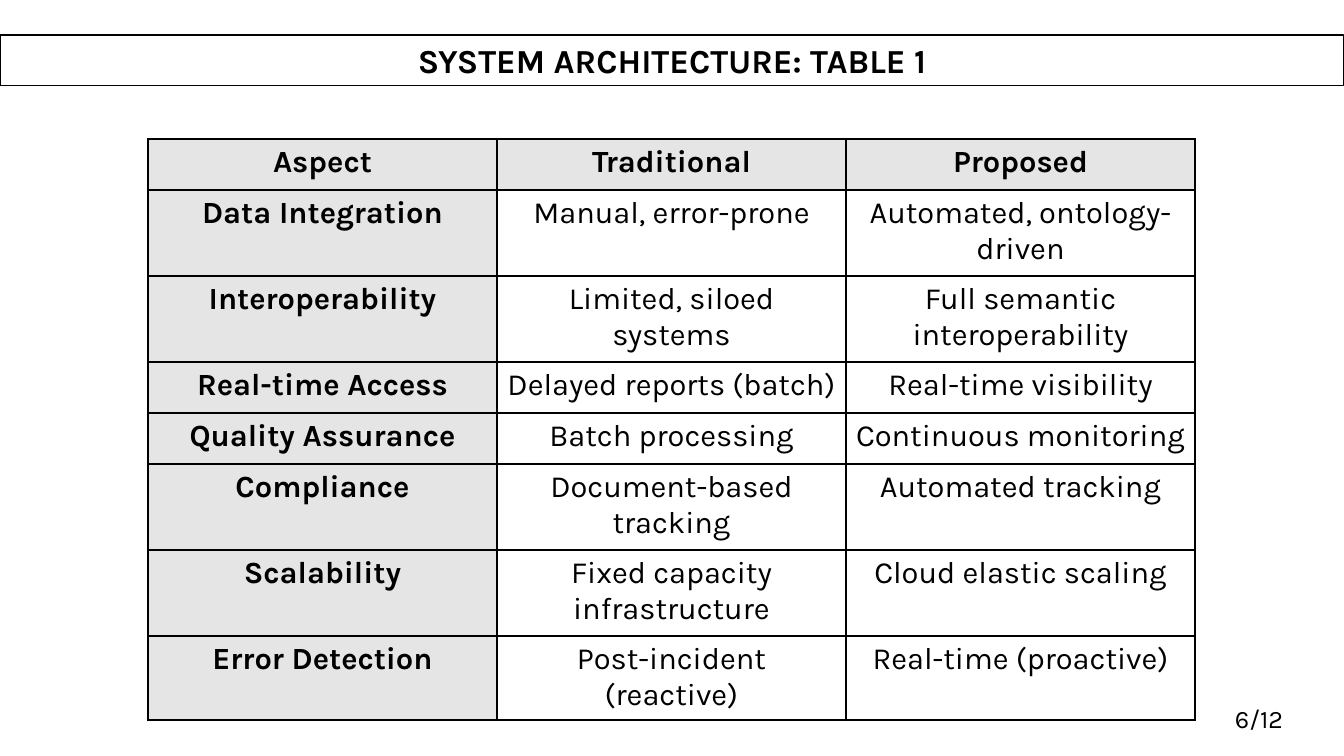
from dataclasses import dataclass

from pptx import Presentation
from pptx.dml.color import RGBColor
from pptx.enum.shapes import MSO_SHAPE
from pptx.enum.text import MSO_ANCHOR, PP_ALIGN
from pptx.oxml import parse_xml
from pptx.oxml.ns import nsdecls
from pptx.util import Emu, Pt

SLIDE_SIZE = (1344, 756)
EMU_PER_PX = 12192000 / SLIDE_SIZE[0]

COMPARISON = [
    ("Aspect", "Traditional", "Proposed"),
    ("Data Integration", "Manual, error-prone", "Automated, ontology-driven"),
    ("Interoperability", "Limited, siloed systems", "Full semantic interoperability"),
    ("Real-time Access", "Delayed reports (batch)", "Real-time visibility"),
    ("Quality Assurance", "Batch processing", "Continuous monitoring"),
    ("Compliance", "Document-based tracking", "Automated tracking"),
    ("Scalability", "Fixed capacity infrastructure", "Cloud elastic scaling"),
    ("Error Detection", "Post-incident (reactive)", "Real-time (proactive)"),
]
ONE_LINE, TWO_LINES = 51, 86
ROW_HEIGHTS = [ONE_LINE, TWO_LINES, TWO_LINES, ONE_LINE,
               ONE_LINE, TWO_LINES, TWO_LINES, ONE_LINE]


@dataclass(frozen=True)
class Theme:
    font: str = "Karla"
    ink: str = "000000"
    header_opacity: int = 10
    title_size: int = 24
    table_size: int = 22
    page_size: int = 18
    border_width: int = 1


def px(length):
    return Emu(round(length * EMU_PER_PX))


def set_attributes(target, values):
    for name, value in values.items():
        setattr(target, name, value)


class SlideBuilder:
    def __init__(self, slide, theme):
        self.slide = slide
        self.theme = theme
        self.ink = RGBColor.from_string(theme.ink)

    def add_words(self, frame, words, size, bold=False, align=PP_ALIGN.CENTER):
        paragraph = frame.paragraphs[0]
        paragraph.alignment = align
        run = paragraph.add_run()
        run.text = words
        set_attributes(run.font, {"name": self.theme.font, "size": Pt(size), "bold": bold})
        run.font.color.rgb = self.ink

    def title_bar(self, words, *box):
        bar = self.slide.shapes.add_shape(MSO_SHAPE.RECTANGLE, *map(px, box))
        bar.shadow.inherit = False
        bar.fill.background()
        bar.line.color.rgb = self.ink
        bar.line.width = Pt(0)
        set_attributes(bar.text_frame, {"word_wrap": True, "vertical_anchor": MSO_ANCHOR.MIDDLE})
        self.add_words(bar.text_frame, words, self.theme.title_size, bold=True)

    def page_number(self, words, *box):
        label = self.slide.shapes.add_textbox(*map(px, box))
        label.text_frame.word_wrap = True
        self.add_words(label.text_frame, words, self.theme.page_size, align=PP_ALIGN.LEFT)

    def border(self, cell):
        properties = cell._tc.get_or_add_tcPr()
        for side in ("lnL", "lnR", "lnT", "lnB"):
            properties.append(parse_xml(
                f'<a:{side} {nsdecls("a")} w="{Pt(self.theme.border_width)}">'
                f'<a:solidFill><a:srgbClr val="{self.theme.ink}"/></a:solidFill></a:{side}>'))

    def tint(self, cell):
        """Fill a header cell with a translucent wash of the ink colour."""
        cell.fill.solid()
        cell.fill.fore_color.rgb = self.ink
        for colour in cell._tc.get_or_add_tcPr().xpath("a:solidFill/a:srgbClr"):
            colour.append(parse_xml(
                f'<a:alpha {nsdecls("a")} val="{self.theme.header_opacity * 1000}"/>'))

    def comparison_table(self, rows, left, top, column_width, row_heights):
        columns = len(rows[0])
        table = self.slide.shapes.add_table(
            len(rows), columns, px(left), px(top),
            px(column_width * columns), px(sum(row_heights))).table
        set_attributes(table, {"first_row": False, "horz_banding": False})
        for column in table.columns:
            column.width = px(column_width)
        for r, (entries, height) in enumerate(zip(rows, row_heights)):
            table.rows[r].height = px(height)
            for c, entry in enumerate(entries):
                cell = table.cell(r, c)
                is_header = r == 0 or c == 0
                self.border(cell)
                if is_header:
                    self.tint(cell)
                else:
                    cell.fill.background()
                self.add_words(cell.text_frame, entry, self.theme.table_size, bold=is_header)


def main():
    deck = Presentation()
    deck.slide_width, deck.slide_height = map(px, SLIDE_SIZE)
    builder = SlideBuilder(deck.slides.add_slide(deck.slide_layouts[6]), Theme())
    builder.page_number("6/12", 1225, 698, 119, 40)
    builder.title_bar("SYSTEM ARCHITECTURE: TABLE 1", 0, 35, 1344, 51)
    builder.comparison_table(COMPARISON, 148, 139, 349, ROW_HEIGHTS)
    deck.save("out.pptx")


if __name__ == "__main__":
    main()
